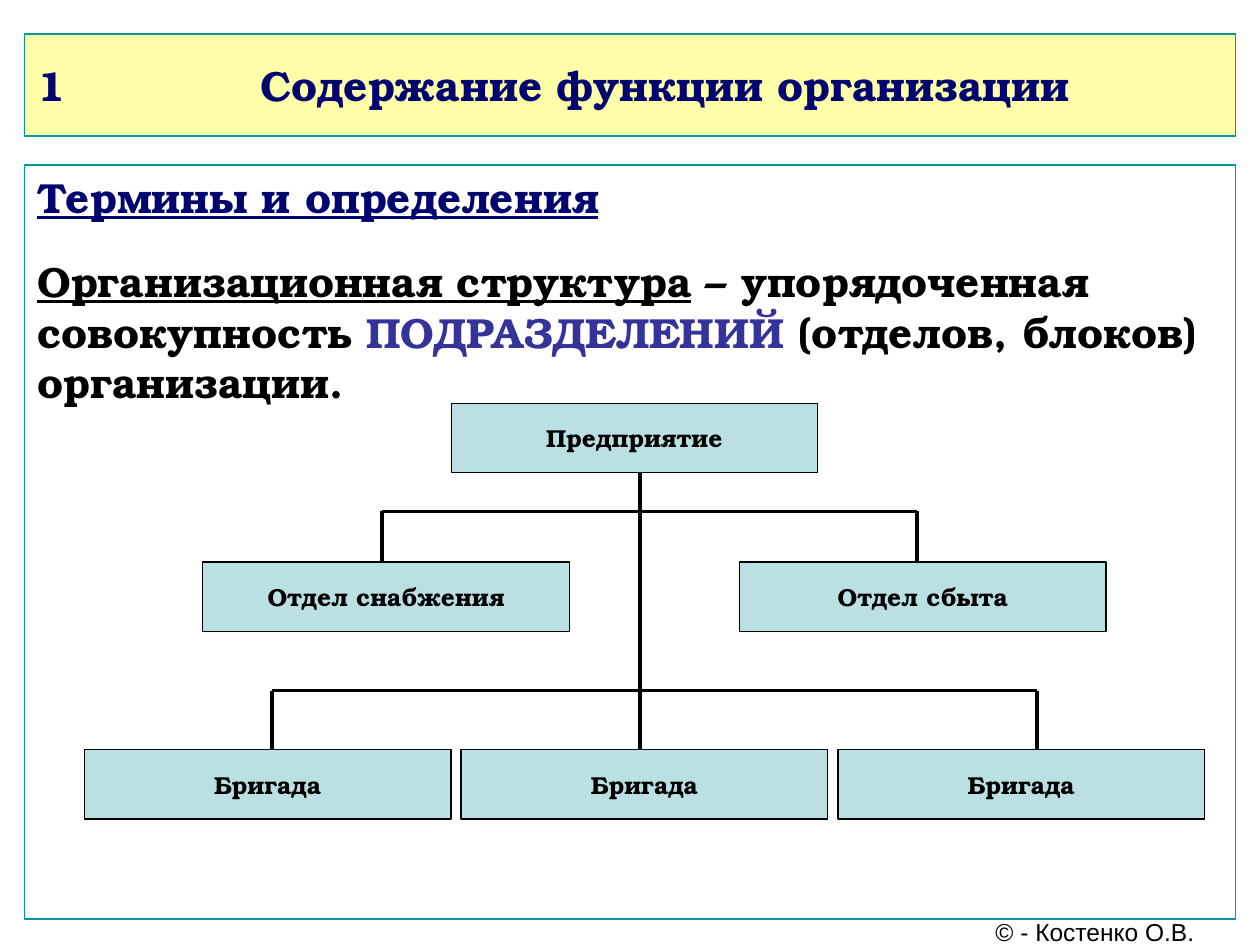
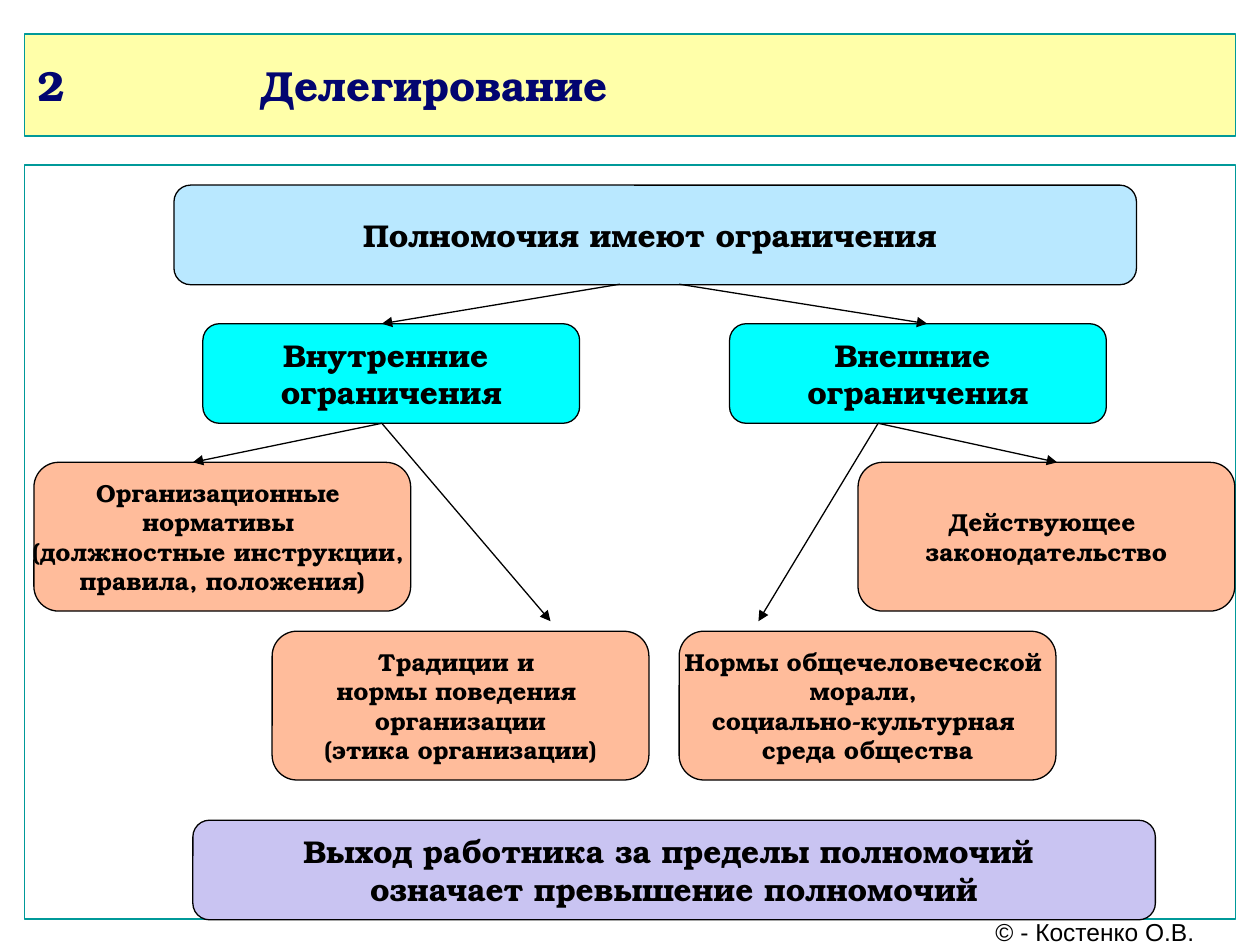
from lxml import etree
from pptx import Presentation
from pptx.dml.color import RGBColor
from pptx.enum import shapes, text
from pptx.oxml import ns
from pptx.util import Pt

INK = {"navy": "020570", "black": "000000", "violet": "333399",
       "teal": "009999", "cream": "FFFFA9", "white": "FFFFFF",
       "mist": "BBE0E3", "sky": "B9E8FF", "aqua": "00FFFF",
       "peach": "FFBC9B", "lilac": "C9C4F2"}
HUE = {name: RGBColor.from_string(code) for name, code in INK.items()}
SERIF = "TeX Gyre Bonum"
RECT = shapes.MSO_SHAPE.RECTANGLE
ROUND = shapes.MSO_SHAPE.ROUNDED_RECTANGLE


def add_box(slide, kind, at, fill, words, size):
    """Add a filled box with one centred paragraph for each line of words."""
    box = slide.shapes.add_shape(kind, *map(Pt, at))
    box.shadow.inherit = False
    box.fill.solid()
    box.fill.fore_color.rgb = HUE[fill]
    box.line.color.rgb = HUE["black"]
    box.line.width = Pt(0.75)
    frame = box.text_frame
    frame.word_wrap = False
    frame.vertical_anchor = text.MSO_ANCHOR.MIDDLE
    frame.text = words
    for para in frame.paragraphs:
        para.alignment = text.PP_ALIGN.CENTER
        form = {"name": SERIF, "size": Pt(size), "bold": True}
        for key, val in form.items():
            setattr(para.runs[0].font, key, val)
        para.runs[0].font.color.rgb = HUE["black"]


def add_line(slide, start, end, width, arrow=False):
    line = slide.shapes.add_connector(
        shapes.MSO_CONNECTOR.STRAIGHT, *map(Pt, start + end))
    line.line.color.rgb = HUE["black"]
    line.line.width = Pt(width)
    if arrow:
        etree.SubElement(line.line._get_or_add_ln(), ns.qn("a:tailEnd"), type="triangle")
    etree.SubElement(line._element.spPr, ns.qn("a:effectLst"))


deck = Presentation()
deck.slide_width, deck.slide_height = Pt(720), Pt(540)

# Shared title band, frame and footer
pages = []
for head, layout in (("1\t\tСодержание функции организации", 1),
                     ("2\t\tДелегирование", 5)):
    slide = deck.slides.add_slide(deck.slide_layouts[layout])
    title = slide.shapes.title
    if layout == 1:
        panel = slide.placeholders[1]
    else:
        panel = slide.shapes.add_shape(RECT, 0, 0, 0, 0)
        panel.shadow.inherit = False
    for part, top, high, fill in ((title, 19.4, 58.3, "cream"),
                                  (panel, 94.3, 430.8, "white")):
        place = {"left": 14.2, "top": top, "width": 692, "height": high}
        for key, val in place.items():
            setattr(part, key, Pt(val))
        part.fill.solid()
        part.fill.fore_color.rgb = HUE[fill]
        part.line.color.rgb = HUE["teal"]
        part.line.width = Pt(0.75)

    title.text_frame.text = head
    title.text_frame.auto_size = text.MSO_AUTO_SIZE.NONE
    title.text_frame.vertical_anchor = text.MSO_ANCHOR.MIDDLE
    para = title.text_frame.paragraphs[0]
    para.alignment = text.PP_ALIGN.LEFT
    tabs = etree.SubElement(para._p.get_or_add_pPr(), ns.qn("a:tabLst"))
    for stop in (56, 127.5):
        etree.SubElement(tabs, ns.qn("a:tab"), pos=str(Pt(stop)), algn="l")
    for key, val in {"name": SERIF, "size": Pt(24), "bold": True}.items():
        setattr(para.runs[0].font, key, val)
    para.runs[0].font.color.rgb = HUE["navy"]

    foot = slide.shapes.add_textbox(Pt(553), Pt(525), Pt(145.4), Pt(15.1))
    foot.text_frame.word_wrap = False
    foot.text_frame.vertical_anchor = text.MSO_ANCHOR.MIDDLE
    para = foot.text_frame.paragraphs[0]
    para.alignment = text.PP_ALIGN.CENTER
    run = para.add_run()
    run.text = "© - Костенко О.В."
    run.font.name, run.font.size = "Arial", Pt(14)
    run.font.color.rgb = HUE["black"]
    pages.append(slide)

# Slide 1: definition and organisation chart
chart, limits = pages
frame = chart.placeholders[1].text_frame
frame.auto_size = text.MSO_AUTO_SIZE.NONE
frame.vertical_anchor = text.MSO_ANCHOR.TOP
terms = [
    [("Термины и определения", "navy", True)],
    [("Организационная структура", "black", True),
     (" – упорядоченная совокупность ", "black", False),
     ("ПОДРАЗДЕЛЕНИЙ", "violet", False),
     (" (отделов, блоков) организации.", "black", False)],
]
for i, runs in enumerate(terms):
    para = frame.add_paragraph() if i else frame.paragraphs[0]
    props = para._p.get_or_add_pPr()
    props.set("marL", "0")
    props.set("indent", "0")
    etree.SubElement(props, ns.qn("a:buNone"))
    para.space_before = Pt(19.4 * i)
    for words, hue, under in runs:
        run = para.add_run()
        run.text = words
        form = {"name": SERIF, "size": Pt(24), "bold": True, "underline": under}
        for key, val in form.items():
            setattr(run.font, key, val)
        run.font.color.rgb = HUE[hue]

units = [(257.8, 230.4, "Предприятие"),
         (115.9, 321.1, "Отдел снабжения"),
         (422.6, 321.1, "Отдел сбыта")]
units += [(48.2 + 215.3 * i, 428.4, "Бригада") for i in range(3)]
for left, top, words in units:
    add_box(chart, RECT, (left, top, 209.5, 39.6), "mist", words, 14)

add_line(chart, (365.8, 270), (365.8, 428.4), 2.25)
for left, right, bar, base in ((218.2, 524.2, 292.3, 321.1),
                               (155.5, 592.6, 394.6, 428.4)):
    add_line(chart, (left, bar), (right, bar), 2.25)
    for x in (left, right):
        add_line(chart, (x, bar), (x, base), 2.25)

# Slide 2: limits of authority
WIDE, MID, TALL = (550, 56.9), (215.3, 56.9), (215.3, 85)
cards = [
    ((99.4, 105.8), WIDE, "sky", 18, "Полномочия имеют ограничения "),
    ((115.9, 185), MID, "aqua", 18, "Внутренние \nограничения"),
    ((416.9, 185), MID, "aqua", 18, "Внешние \nограничения"),
    ((19.4, 264.2), TALL, "peach", 14,
     "Организационные \nнормативы \n(должностные инструкции, \nправила, положения)"),
    ((155.5, 360.7), TALL, "peach", 14,
     "Традиции и \nнормы поведения \nорганизации\n(этика организации)"),
    ((388.1, 360.7), TALL, "peach", 14,
     "Нормы общечеловеческой \nморали, \nсоциально-культурная \nсреда общества"),
    ((490.3, 264.2), TALL, "peach", 14, "Действующее \nзаконодательство"),
    ((110.2, 468.7), WIDE, "lilac", 18,
     "Выход работника за пределы полномочий \nозначает превышение полномочий"),
]
for spot, size, fill, points, words in cards:
    add_box(limits, ROUND, spot + size, fill, words, points)

for start, ends in (((354.2, 162.4), [(218.2, 185)]),
                    ((388.1, 162.4), [(529.9, 185)]),
                    ((218.2, 241.9), [(110.2, 264.2), (314.6, 355)]),
                    ((501.8, 241.9), [(604.1, 264.2), (433.4, 355)])):
    for end in ends:
        add_line(limits, start, end, 0.75, arrow=True)

deck.save("out.pptx")
